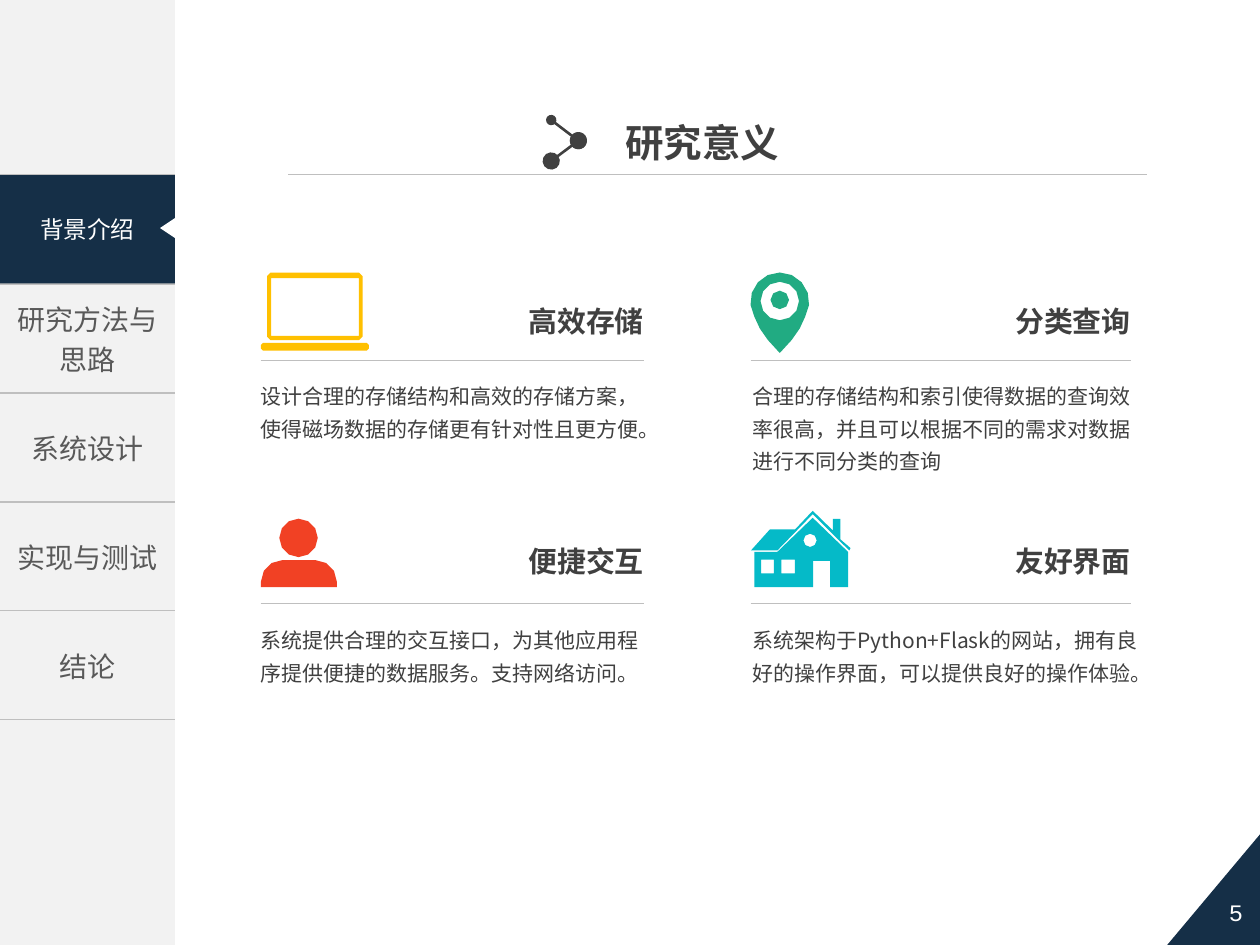
import math
import pptx
import pptx.util
import pptx.dml.color
import pptx.enum.shapes
import pptx.enum.text
import pptx.oxml
import pptx.oxml.ns

Pt = pptx.util.Pt
RGBColor = pptx.dml.color.RGBColor
Shape = pptx.enum.shapes.MSO_SHAPE
Align = pptx.enum.text.PP_ALIGN
Anchor = pptx.enum.text.MSO_ANCHOR
Fit = pptx.enum.text.MSO_AUTO_SIZE

NAVY = RGBColor(0x15, 0x2F, 0x47)
WHITE = RGBColor(0xFF, 0xFF, 0xFF)
PALE = RGBColor(0xF2, 0xF2, 0xF2)
RULE = RGBColor(0xBF, 0xBF, 0xBF)
MENU = RGBColor(0x59, 0x59, 0x59)
DARK = RGBColor(0x40, 0x40, 0x40)
YELLOW = RGBColor(0xFF, 0xC0, 0x00)
GREEN = RGBColor(0x21, 0xAB, 0x82)
RED = RGBColor(0xF1, 0x41, 0x24)
CYAN = RGBColor(0x05, 0xBA, 0xC8)
CHINESE = "Noto Sans CJK SC"
XMLNS = 'xmlns:a="http://schemas.openxmlformats.org/drawingml/2006/main"'


def write_text(frame, words, color, font, frame_format, para_format):
    for name, value in frame_format.items():
        setattr(frame, name, value)
    para = frame.paragraphs[0]
    for name, value in para_format.items():
        setattr(para, name, value)
    span = para.add_run()
    span.text = words
    for name, value in font.items():
        setattr(span.font, name, value)
    span.font.color.rgb = color
    span.font._element.append(pptx.oxml.parse_xml(f'<a:ea {XMLNS} typeface="{CHINESE}"/>'))


def arc(center_x, center_y, radius, start=0, end=330, steps=11):
    angles = [math.radians(start + (end - start) * step / steps) for step in range(steps + 1)]
    return [(center_x + radius * math.cos(a), center_y + radius * math.sin(a)) for a in angles]


deck = pptx.Presentation()
deck.slide_width, deck.slide_height = Pt(720), Pt(540)
page = deck.slides.add_slide(deck.slide_layouts[6])
shapes = page.shapes
small_margins = dict(margin_left=Pt(5.4), margin_right=Pt(5.4),
                     margin_top=Pt(2.7), margin_bottom=Pt(2.7))
centered = dict(alignment=Align.CENTER)

# Sidebar background
sidebar = shapes.add_shape(Shape.RECTANGLE, 0, 0, Pt(100), Pt(540))

# Navigation menu
topics = ["", "研究方法与思路", "系统设计", "实现与测试", "结论"]
menu = shapes.add_table(len(topics), 1, 0, Pt(99.9), Pt(100), Pt(311.5)).table
menu.first_row = menu.horz_banding = False
for row, topic in enumerate(topics):
    menu.rows[row].height = Pt(62.3)
    cell = menu.cell(row, 0)
    cell.fill.background()
    cell.vertical_anchor = Anchor.MIDDLE
    cell.margin_left = cell.margin_right = Pt(5.4)
    if topic:
        write_text(cell.text_frame, topic, MENU, dict(size=Pt(16), name=CHINESE), {}, centered)
    for place, side in enumerate("LRTB"):
        paint = f'<a:solidFill><a:srgbClr val="{RULE}"/></a:solidFill>' if side in "TB" else "<a:noFill/>"
        border = pptx.oxml.parse_xml(f'<a:ln{side} {XMLNS} w="12700">{paint}</a:ln{side}>')
        cell._tc.get_or_add_tcPr().insert(place, border)

# Active menu item, its pointer, and the page corner
active = shapes.add_shape(Shape.RECTANGLE, 0, Pt(100), Pt(100), Pt(62))
pointer = shapes.add_shape(Shape.ISOSCELES_TRIANGLE, Pt(90), Pt(126), Pt(11.5), Pt(8.6))
pointer.rotation = 270
corner = shapes.add_shape(Shape.RIGHT_TRIANGLE, Pt(666.3), Pt(473.8), Pt(56.2), Pt(67))
number = shapes.add_shape(Shape.PENTAGON, Pt(672.2), Pt(501.5), Pt(58.3), Pt(39.6))
for shape, color in [(sidebar, PALE), (active, NAVY), (pointer, WHITE), (corner, NAVY), (number, None)]:
    shape.shadow.inherit = False
    shape.line.fill.background()
    if color is None:
        shape.fill.background()
    else:
        shape.fill.solid()
        shape.fill.fore_color.rgb = color
for shape in (corner, number):
    shape._element.spPr.find(pptx.oxml.ns.qn("a:xfrm")).set("flipH", "1")
middle = dict(vertical_anchor=Anchor.MIDDLE)
write_text(active.text_frame, "背景介绍", WHITE, dict(size=Pt(13.5), name=CHINESE), middle, centered)
write_text(number.text_frame, "5", WHITE, dict(size=Pt(13.5), name="Courier New"),
           middle | small_margins, centered)

# Title
fitted = dict(word_wrap=False, auto_size=Fit.SHAPE_TO_FIT_TEXT)
title = shapes.add_textbox(Pt(352), Pt(65.5), Pt(100), Pt(32.4))
write_text(title.text_frame, "研究意义", DARK, dict(size=Pt(22), name="Arial", bold=True),
           fitted | small_margins, {})

# Rules and the linked dots beside the title: ends, colour, width, dot sizes
left_x, right_x = 149, 429
lines = [(164.7, 99.7, 655.6, 99.7, RULE, 0.5, None),
         (315, 68.6, 330.5, 80.4, DARK, 1.5, ("med", "lg")),
         (330.5, 80.4, 315, 92, DARK, 1.5, ("lg", "lg"))]
for y in (206, 345):
    lines += [(left_x, y, 368, y, RULE, 0.5, None), (right_x, y, 646.5, y, RULE, 0.5, None)]
for x1, y1, x2, y2, color, width, dots in lines:
    line = shapes.add_connector(pptx.enum.shapes.MSO_CONNECTOR.STRAIGHT, Pt(x1), Pt(y1), Pt(x2), Pt(y2))
    line.line.color.rgb = color
    line.line.width = Pt(width)
    for end, size in zip(("headEnd", "tailEnd"), dots or ()):
        line.line._get_or_add_ln().append(pptx.oxml.parse_xml(
            f'<a:{end} {XMLNS} type="oval" w="{size}" len="{size}"/>'))
    line._element.spPr.append(pptx.oxml.parse_xml(f"<a:effectLst {XMLNS}/>"))

# Icon outlines: square panels first, then panels with a corner radius
panels = [(154.9, 159, 205, 192), (434.9, 319.8, 442.2, 327.6), (446.5, 319.8, 454.2, 327.6)]
glass, *windows = [[(left, top), (right, top), (right, bottom), (left, bottom)]
                   for left, top, right, bottom in panels]
base, screen = [
    arc(left + r, top + r, r, 180, 270, 1) + arc(right - r, top + r, r, 270, 360, 1)
    + arc(right - r, bottom - r, r, 0, 90, 1) + arc(left + r, bottom - r, r, 90, 180, 1)
    for left, top, right, bottom, r in [(149.1, 196, 210.8, 200.4, 1.2), (152.6, 155.8, 207.2, 194.4, 2)]]
head = arc(170.6, 307.4, 11)
shoulders = (arc(161.4, 332.4, 12.3, 180, 270, 3) + arc(180.2, 332.4, 12.3, 270, 360, 3)
             + [(192.5, 335.5), (149.1, 335.5)])
pin_x = 445.6
taper = [(11.4, 187.7), (6.8, 194.3)]
pin = (arc(pin_x, 172.5, 16.8, 150, 390, 10) + [(pin_x + dx, y) for dx, y in taper]
       + [(pin_x, 201.7)] + [(pin_x - dx, y) for dx, y in reversed(taper)])
walls = [(484.6, 315.4), (464.4, 295.9), (444.2, 315.4), (431.1, 315.4), (431.1, 335.5), (464.6, 335.5),
         (464.6, 320.6), (474.3, 320.6), (474.3, 335.5), (484.6, 335.5)]
roof = [(486, 313.2), (485.3, 314.6), (464.4, 293.8), (444.2, 314.6), (429.1, 314.6), (439.9, 302.6),
        (454.3, 302.6), (464.4, 291.9), (475.9, 303.1), (475.9, 296.6), (480.2, 296.6), (480.2, 308.2)]
icons = [(CYAN, [walls, *windows, arc(462.9, 308.8, 3.8, 0, 315, 7), roof]),
         (YELLOW, [base, screen, glass]),
         (RED, [shoulders, head]),
         (GREEN, [pin, arc(pin_x, 172, 11), arc(pin_x, 171.4, 5.3, 0, 315, 7)])]
for color, outlines in icons:
    builder = None
    for outline in outlines:
        points = [(Pt(x), Pt(y)) for x, y in outline]
        if builder is None:
            builder = shapes.build_freeform(*points[0])
        else:
            builder.move_to(*points[0])
        builder.add_line_segments(points[1:], close=True)
    icon = builder.convert_to_shape()
    icon.shadow.inherit = False
    icon.fill.solid()
    icon.fill.fore_color.rgb = color
    icon.line.fill.background()

# Headings and descriptions, two by two
sections = [
    ("高效存储", "设计合理的存储结构和高效的存储方案，使得磁场数据的存储更有针对性且更方便。"),
    ("分类查询", "合理的存储结构和索引使得数据的查询效率很高，并且可以根据不同的需求对数据进行不同分类的查询"),
    ("便捷交互", "系统提供合理的交互接口，为其他应用程序提供便捷的数据服务。支持网络访问。"),
    ("友好界面", "系统架构于Python+Flask的网站，拥有良好的操作界面，可以提供良好的操作体验。")]
for index, (heading, description) in enumerate(sections):
    row, column = divmod(index, 2)
    box = shapes.add_textbox(Pt(293.5 + 278.2 * column), Pt(169.9 + 136.8 * row), Pt(81.4), Pt(27.4))
    write_text(box.text_frame, heading, DARK, dict(size=Pt(16.5), name=CHINESE, bold=True),
               fitted | middle, dict(alignment=Align.RIGHT))
    height = 64.1 if index == 1 else 45.4
    box = shapes.add_textbox(Pt(141.8 + 281.2 * column), Pt(211.3 + 139.4 * row), Pt(240), Pt(height))
    write_text(box.text_frame, description, DARK, dict(size=Pt(12), name=CHINESE),
               fitted | dict(word_wrap=True), dict(line_spacing=1.3))

deck.save("out.pptx")
